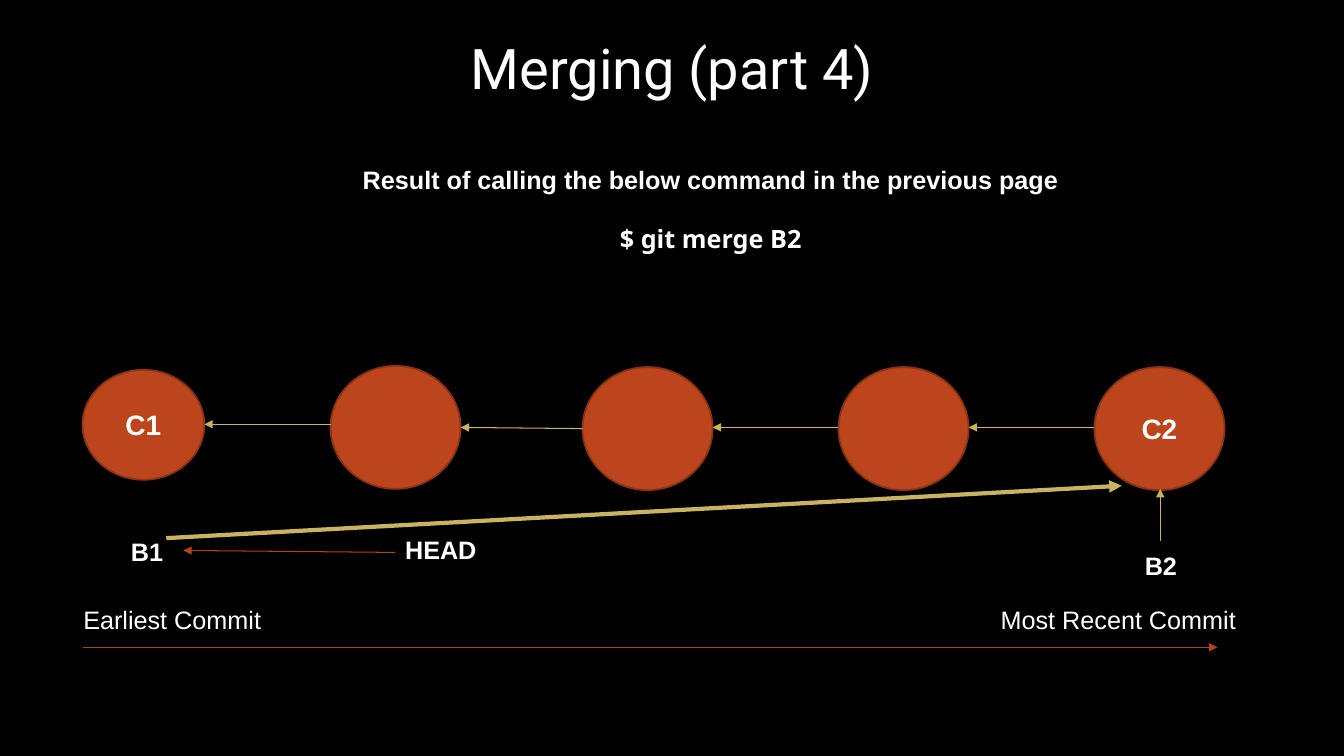
from lxml import etree
from pptx import Presentation
from pptx.dml.color import RGBColor
from pptx.enum.shapes import MSO_CONNECTOR, MSO_SHAPE
from pptx.enum.text import MSO_ANCHOR, MSO_AUTO_SIZE, PP_ALIGN
from pptx.oxml.ns import qn
from pptx.util import Cm, Pt

STRAIGHT, OVAL = MSO_CONNECTOR.STRAIGHT, MSO_SHAPE.OVAL
LEFT, CENTER = PP_ALIGN.LEFT, PP_ALIGN.CENTER
TOP, MIDDLE = MSO_ANCHOR.TOP, MSO_ANCHOR.MIDDLE
FIXED = MSO_AUTO_SIZE.NONE

BLACK, WHITE = "000000", "FFFFFF"
RUST, DARK_RUST, RED, GOLD = "BC451B", "8B3314", "B4421A", "CAB263"

# Content; all lengths in centimetres
TITLE = "Merging (part 4)"
TITLE_BOX = (6.99, 0.71, 19.89, 1.96)
NOTE = "Result of calling the below command in the previous page"
COMMAND = "$ git merge B2"
NOTE_BOX = (3.61, 4.01, 28.6, 2.57)

# Commits from oldest to newest: label, left, top, width, height
COMMITS = [
    ("C1", 2.08, 9.32, 3.07, 2.77),
    ("", 8.33, 9.22, 3.28, 3.1),
    ("", 14.68, 9.25, 3.28, 3.1),
    ("", 21.13, 9.25, 3.28, 3.1),
    ("C2", 27.58, 9.25, 3.28, 3.1),
]
# Start and end height of each arrow back to the parent commit
PARENT_HEIGHTS = [(10.69, 10.69), (10.8, 10.77), (10.77, 10.77), (10.77, 10.77)]

# Text, left, top, width, bold
LABELS = [
    ("Earliest Commit", 1.85, 15.11, 6.58, False),
    ("Most Recent Commit", 24.97, 15.11, 6.58, False),
    ("B1", 3.05, 13.39, 2.01, True),
    ("HEAD", 9.96, 13.34, 2.92, True),
    ("B2", 28.6, 13.74, 2.24, True),
]
LABEL_HEIGHT = 1.02

# Start x, start y, end x, end y, colour, width in points
POINTERS = [
    (2.08, 16.31, 30.68, 16.31, RED, 0.75),
    (9.96, 13.92, 4.62, 13.87, RED, 0.75),
    (4.19, 13.56, 28.27, 12.24, GOLD, 3),
    (29.24, 13.64, 29.24, 12.32, GOLD, 0.75),
]


def color(hex_code):
    return RGBColor.from_string(hex_code)


def write(para, text, size=18, font="Arial", bold=False, align=LEFT, before=0):
    para.alignment = align
    if before:
        para.space_before = Pt(before)
    span = para.add_run()
    span.text = text
    span.font.size = Pt(size)
    span.font.name = font
    span.font.bold = bold
    span.font.color.rgb = color(WHITE)


def add_box(page, left, top, width, height):
    box = page.shapes.add_textbox(Cm(left), Cm(top), Cm(width), Cm(height))
    box.text_frame.word_wrap = True
    return box.text_frame


def add_arrow(page, x1, y1, x2, y2, hex_code, width):
    arrow = page.shapes.add_connector(STRAIGHT, Cm(x1), Cm(y1), Cm(x2), Cm(y2))
    arrow.line.color.rgb = color(hex_code)
    arrow.line.width = Pt(width)
    etree.SubElement(arrow.line._get_or_add_ln(), qn("a:tailEnd"), type="triangle")
    etree.SubElement(arrow._element.spPr, qn("a:effectLst"))


def add_commit(page, label, left, top, width, height):
    circle = page.shapes.add_shape(OVAL, Cm(left), Cm(top), Cm(width), Cm(height))
    circle.shadow.inherit = False
    circle.fill.solid()
    circle.fill.fore_color.rgb = color(RUST)
    circle.line.color.rgb = color(DARK_RUST)
    circle.line.width = Pt(1.25)
    if label:
        circle.text_frame.vertical_anchor = MIDDLE
        write(circle.text_frame.paragraphs[0], label, size=20, bold=True, align=CENTER)


def main():
    deck = Presentation()
    deck.slide_width, deck.slide_height = Cm(33.87), Cm(19.05)
    page = deck.slides.add_slide(deck.slide_layouts[5])
    page.background.fill.solid()
    page.background.fill.fore_color.rgb = color(BLACK)

    # Title
    title = page.shapes.title
    title.left, title.top, title.width, title.height = map(Cm, TITLE_BOX)
    title.text_frame.auto_size = FIXED
    title.text_frame.vertical_anchor = TOP
    write(title.text_frame.paragraphs[0], TITLE, size=40, font="Roboto", align=CENTER)

    # Command note
    frame = add_box(page, *NOTE_BOX)
    write(frame.paragraphs[0], NOTE, bold=True, align=CENTER)
    write(frame.add_paragraph(), COMMAND, font="Noto Sans", bold=True,
          align=CENTER, before=20.5)

    # Commits, each pointing back to its parent
    for commit in COMMITS:
        add_commit(page, *commit)
    for parent, child, (start, end) in zip(COMMITS, COMMITS[1:], PARENT_HEIGHTS):
        add_arrow(page, child[1], start, parent[1] + parent[3], end, GOLD, 0.75)

    # Branch pointers, timeline and labels
    for pointer in POINTERS:
        add_arrow(page, *pointer)
    for text, left, top, width, bold in LABELS:
        frame = add_box(page, left, top, width, LABEL_HEIGHT)
        write(frame.paragraphs[0], text, bold=bold)

    deck.save("out.pptx")


if __name__ == "__main__":
    main()
